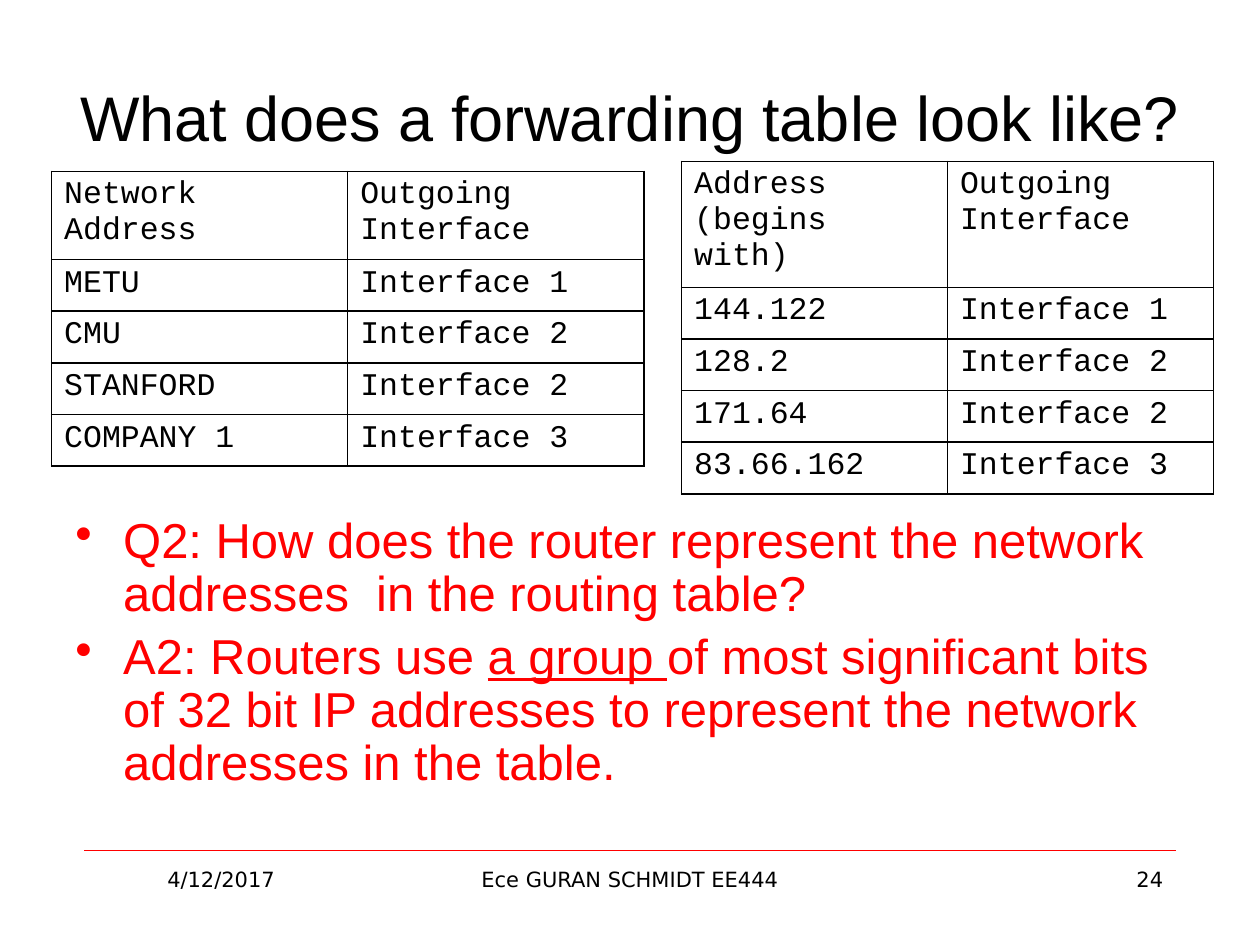
from lxml import etree
from pptx import Presentation
from pptx import util as u
from pptx.dml.color import RGBColor
from pptx.enum import shapes, text
from pptx.oxml.ns import qn

BLACK = RGBColor(0, 0, 0)
RED = RGBColor(255, 0, 0)
Inches, Pt = u.Inches, u.Pt
ALIGN = text.PP_ALIGN


def set_font(p, name, size, color):
    p.font.name, p.font.size = name, Pt(size)
    p.font.color.rgb = color


def add_text(s, box, paragraphs, name, size, color, align=ALIGN.LEFT):
    """Each paragraph is a list of (text, underlined) runs."""
    tf = s.shapes.add_textbox(*map(Inches, box)).text_frame
    tf.word_wrap = True
    for i, runs in enumerate(paragraphs):
        p = tf.add_paragraph() if i else tf.paragraphs[0]
        p.alignment = align
        set_font(p, name, size, color)
        for content, underlined in runs:
            r = p.add_run()
            r.text = content
            if underlined:
                r.font.underline = True
    return tf


def add_title(s, box, title):
    tf = add_text(s, box, [[(title, False)]], "Arial", 36, BLACK, ALIGN.CENTER)
    tf.vertical_anchor = text.MSO_ANCHOR.MIDDLE


def add_bullets(s, box, paragraphs):
    tf = add_text(s, box, paragraphs, "Arial", 28, RED)
    for p in tf.paragraphs:
        p.line_spacing = 0.9
        p.space_before = Pt(5.6)
        pPr = p._p.get_or_add_pPr()
        pPr.set("marL", str(Inches(0.38)))
        pPr.set("indent", str(-Inches(0.38)))
        # The bullet goes after the spacing and before the default run font
        bullet = etree.Element(qn("a:buChar"), char="•")
        pPr.find(qn("a:defRPr")).addprevious(bullet)


def add_borders(cell):
    tcPr = cell._tc.get_or_add_tcPr()
    for i, side in enumerate(("lnL", "lnR", "lnT", "lnB")):
        ln = etree.Element(qn(f"a:{side}"), w=str(Pt(1)))
        fill = etree.SubElement(ln, qn("a:solidFill"))
        etree.SubElement(fill, qn("a:srgbClr"), val=str(BLACK))
        tcPr.insert(i, ln)


def add_forwarding_table(s, box, rows):
    n_cols = len(rows[0])
    table = s.shapes.add_table(len(rows), n_cols, *map(Inches, box)).table
    table.first_row = table.horz_banding = False
    for col in table.columns:
        col.width = Inches(box[2] / n_cols)
    for i, values in enumerate(rows):
        table.rows[i].height = Inches(0.41 if i else 0.46)
        for j, value in enumerate(values):
            cell = table.cell(i, j)
            cell.text = value
            cell.fill.background()
            add_borders(cell)
            for p in cell.text_frame.paragraphs:
                set_font(p, "Courier New", 18, BLACK)


def add_footer(s, box, date, author, number):
    x, y, w, h = box
    # Rule above the footer
    rule = s.shapes.add_connector(shapes.MSO_CONNECTOR.STRAIGHT, Inches(x),
                                  Inches(y), Inches(x + w), Inches(y))
    rule.line.color.rgb = RED
    rule.line.width = Pt(0.25)
    etree.SubElement(rule._element.spPr, qn("a:effectLst"))
    # Date at left, author in the middle, number at right
    side, middle = 2.17, 3.17
    fields = [(x, side, date, ALIGN.CENTER),
              (x + (w - middle) / 2, middle, author, ALIGN.CENTER),
              (x + w - side, side, number, ALIGN.RIGHT)]
    for left, width, content, align in fields:
        add_text(s, (left, y + 0.08, width, h - 0.08), [[(content, False)]],
                 "DejaVu Sans", 12, BLACK, align)


def main():
    prs = Presentation()
    prs.slide_width, prs.slide_height = Inches(10), Inches(7.5)
    s = prs.slides.add_slide(prs.slide_layouts[6])

    add_footer(s, (0.67, 6.75, 8.66, 0.6),
               "4/12/2017", "Ece GURAN SCHMIDT EE444", "24")
    add_title(s, (0.5, 0.3, 9, 1.25), "What does a forwarding table look like?")
    add_bullets(s, (0.5, 4.05, 9, 2.48), [
        [("Q2: How does the router represent the network addresses  in the "
          "routing table?", False)],
        [("A2: Routers use ", False), ("a group ", True),
         ("of most significant bits of 32 bit IP addresses to represent the "
          "network addresses in the table.", False)],
    ])

    # The same routes, by network name and by address prefix
    interfaces = ["Outgoing Interface", "Interface 1", "Interface 2",
                  "Interface 2", "Interface 3"]
    names = ["Network Address", "METU", "CMU", "STANFORD", "COMPANY 1"]
    prefixes = ["Address\n(begins with)", "144.122", "128.2", "171.64",
                "83.66.162"]
    add_forwarding_table(s, (0.41, 1.36, 4.7, 2.1),
                         list(zip(names, interfaces)))
    add_forwarding_table(s, (5.41, 1.28, 4.22, 2.1),
                         list(zip(prefixes, interfaces)))
    prs.save("out.pptx")


if __name__ == "__main__":
    main()
